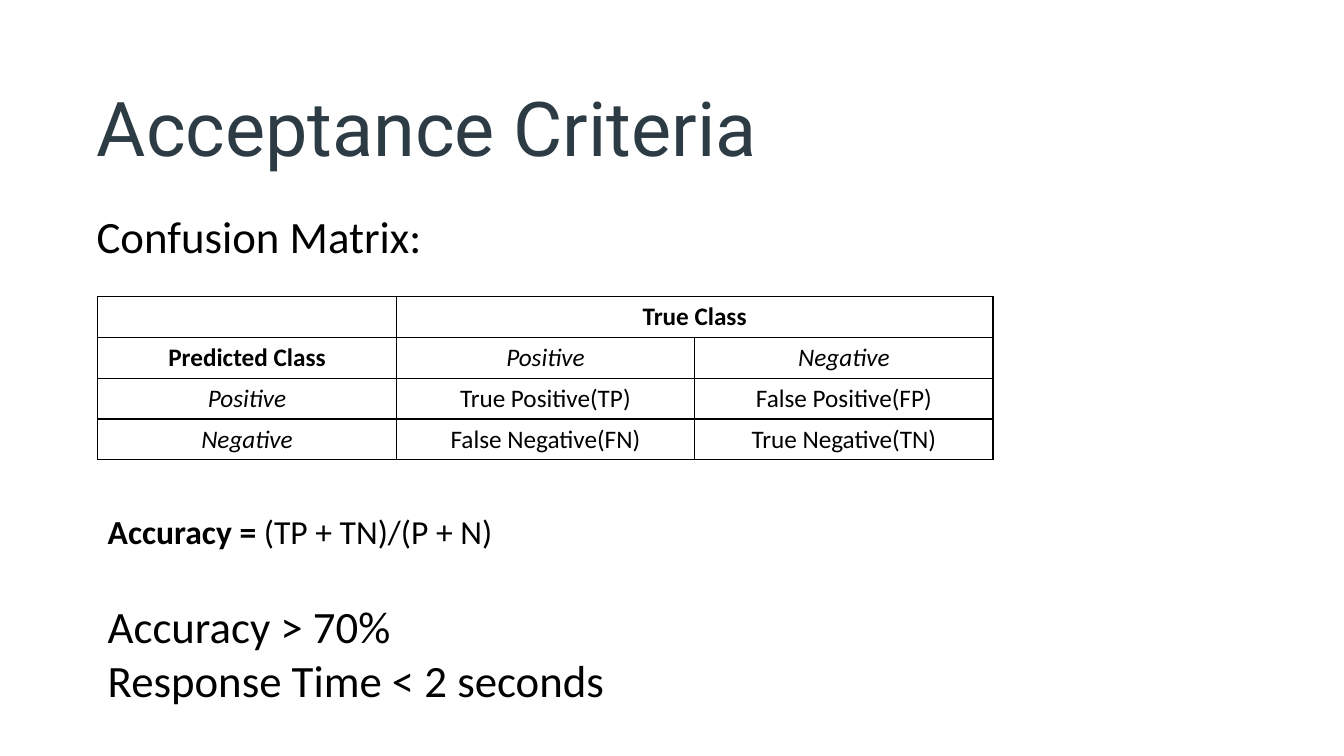
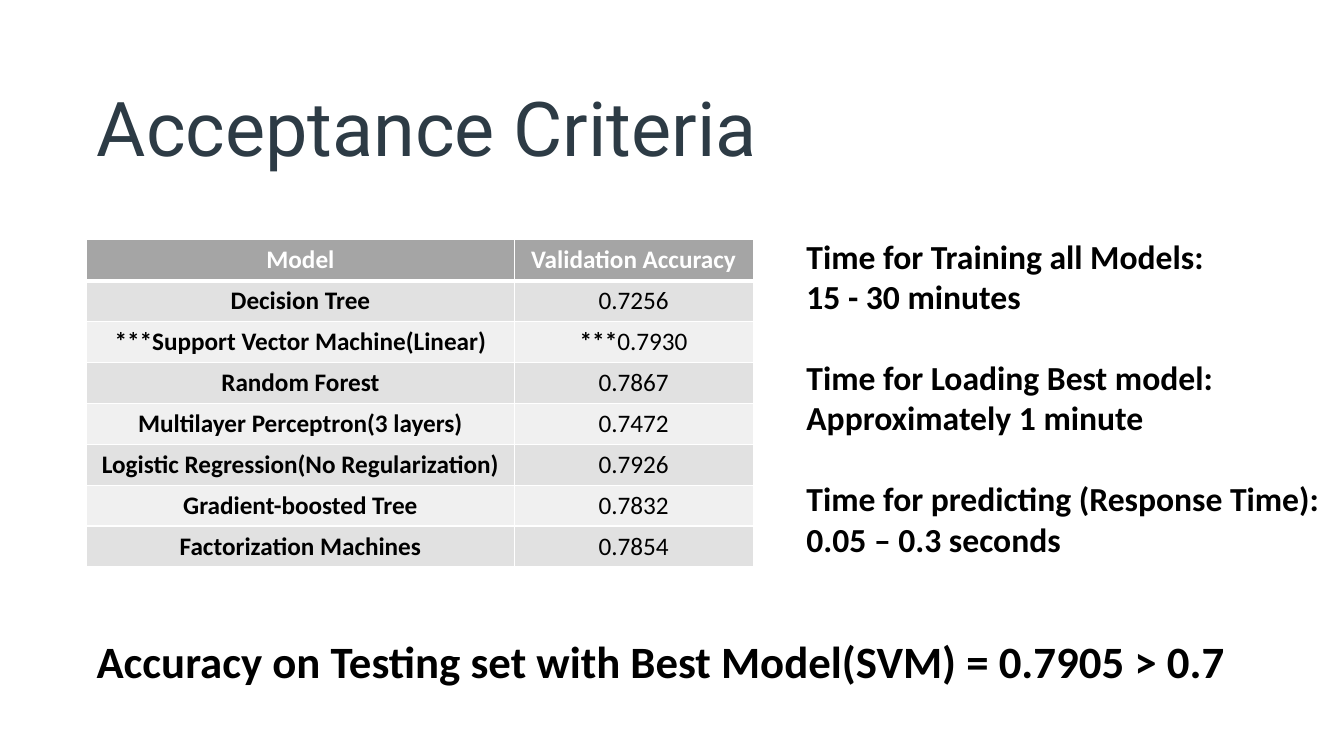
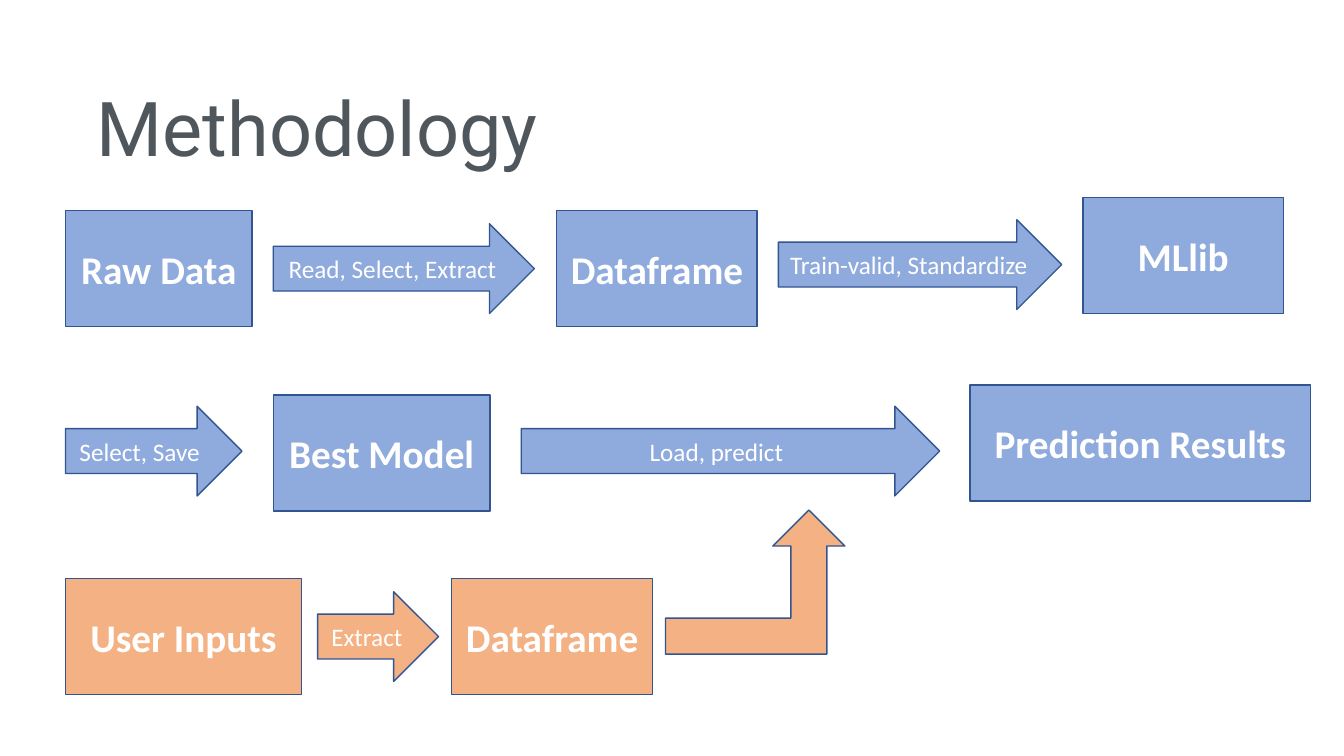
"""Build three slides on a classifier's acceptance criteria and methodology."""
import dataclasses

import lxml.etree
import pptx
import pptx.dml.color
import pptx.enum.shapes
import pptx.enum.text
import pptx.oxml.ns
import pptx.util

PX = 9144


@dataclasses.dataclass(frozen=True)
class Theme:
    title_font: str = "Roboto"
    body_font: str = "Calibri"
    slate: str = "2D3B45"
    grey: str = "50575C"
    black: str = "000000"
    white: str = "FFFFFF"
    header: str = "A5A5A5"
    bands: tuple = ("F0F0F0", "E1E1E1")
    blue: str = "8FAADC"
    orange: str = "F4B183"
    outline: str = "325491"
    title: int = 54
    large: int = 32
    step: int = 28
    medium: int = 24
    small: int = 18


theme = Theme()
rgb = pptx.dml.color.RGBColor.from_string
align = pptx.enum.text.PP_ALIGN
shapes = pptx.enum.shapes.MSO_SHAPE


def write(frame, paragraphs, size, color, alignment=align.LEFT, font=theme.body_font):
    """Write paragraphs, each a list of (text, style) runs, style holding b or i."""
    frame.word_wrap = True
    for index, runs in enumerate(paragraphs):
        paragraph = frame.add_paragraph() if index else frame.paragraphs[0]
        paragraph.alignment = alignment
        for text, style in runs:
            run = paragraph.add_run()
            run.text = text
            run.font.name = font
            run.font.size = pptx.util.Pt(size)
            run.font.bold = "b" in style
            run.font.italic = "i" in style
            run.font.color.rgb = rgb(color)


def add_grid(slide, left, top, widths, rows, fills, border, header_rule, header_color):
    """Add a table with one fill per row and ruled cells, and return it."""
    height = 40
    grid = slide.shapes.add_table(
        len(rows), len(widths), left * PX, top * PX, sum(widths) * PX, height * len(rows) * PX
    ).table
    grid.first_row = grid.horz_banding = False
    for column, width in zip(grid.columns, widths):
        column.width = width * PX
    for row_index, (row, fill) in enumerate(zip(rows, fills)):
        grid.rows[row_index].height = height * PX
        rules = {"L": 1, "R": 1, "T": 1, "B": 1}
        if row_index < 2:
            rules["T" if row_index else "B"] = header_rule
        for column_index, runs in enumerate(row):
            cell = grid.cell(row_index, column_index)
            cell.vertical_anchor = pptx.enum.text.MSO_ANCHOR.TOP
            properties = cell._tc.get_or_add_tcPr()
            for side, points in rules.items():
                rule = lxml.etree.SubElement(
                    properties, pptx.oxml.ns.qn(f"a:ln{side}"), w=str(pptx.util.Pt(points))
                )
                solid = lxml.etree.SubElement(rule, pptx.oxml.ns.qn("a:solidFill"))
                lxml.etree.SubElement(solid, pptx.oxml.ns.qn("a:srgbClr"), val=border)
            if fill:
                cell.fill.solid()
                cell.fill.fore_color.rgb = rgb(fill)
            else:
                cell.fill.background()
            color = theme.black if row_index else header_color
            write(cell.text_frame, [runs], theme.small, color, align.CENTER)
    return grid


deck = pptx.Presentation()
deck.slide_width = 1333 * PX
deck.slide_height = 750 * PX

slides = []
for heading, width, color in [
    ("Acceptance Criteria", 975, theme.slate),
    ("Acceptance Criteria", 975, theme.slate),
    ("Methodology", 518, theme.grey),
]:
    slide = deck.slides.add_slide(deck.slide_layouts[5])
    title = slide.shapes.title
    title.left, title.top, title.width, title.height = 86 * PX, 75 * PX, width * PX, 101 * PX
    title.text_frame.auto_size = pptx.enum.text.MSO_AUTO_SIZE.NONE
    title.text_frame.vertical_anchor = pptx.enum.text.MSO_ANCHOR.TOP
    write(title.text_frame, [[(heading, "")]], theme.title, color, font=theme.title_font)
    slides.append(slide)
criteria, results, methodology = slides

confusion = add_grid(
    criteria, 97, 294, [296] * 3,
    [
        [[], [("True Class", "b")], []],
        [[("Predicted Class", "b")], [("Positive", "i")], [("Negative", "i")]],
        [[("Positive", "i")], [("True Positive(TP)", "")], [("False Positive(FP)", "")]],
        [[("Negative", "i")], [("False Negative(FN)", "")], [("True Negative(TN)", "")]],
    ],
    [None] * 4, theme.black, 1, theme.black,
)
confusion.cell(0, 1).merge(confusion.cell(0, 2))

accuracies = [
    ("Decision Tree", [("0.7256", "")]),
    ("***Support Vector Machine(Linear)", [("***", "b"), ("0.7930", "")]),
    ("Random Forest", [("0.7867", "")]),
    ("Multilayer Perceptron(3 layers)", [("0.7472", "")]),
    ("Logistic Regression(No Regularization)", [("0.7926", "")]),
    ("Gradient-boosted Tree", [("0.7832", "")]),
    ("Factorization Machines", [("0.7854", "")]),
]
model_rows = [[[("Model", "b")], [("Validation Accuracy", "b")]]]
model_rows += [[[(model, "b")], accuracy] for model, accuracy in accuracies]
model_fills = [theme.header] + [theme.bands[n % 2] for n in range(1, len(model_rows))]
add_grid(results, 86, 238, [424, 237], model_rows, model_fills, theme.white, 3, theme.white)

timings = [
    "Time for Training all Models:", "15 - 30 minutes",
    "Time for Loading Best model:", "Approximately 1 minute",
    "Time for predicting (Response Time):", "0.05 – 0.3 seconds",
]
verdict = "Accuracy on Testing set with Best Model(SVM) = 0.7905 > 0.7"
for slide, left, top, width, height, size, paragraphs in [
    (criteria, 86, 202, 1150, 64, theme.large, [[("Confusion Matrix:", "")]]),
    (criteria, 97, 502, 644, 50, theme.medium, [[("Accuracy = ", "b"), ("(TP + TN)/(P + N)", "")]]),
    (criteria, 97, 589, 1198, 118, theme.large,
     [[("Accuracy > 70%", "")], [("Response Time < 2 seconds", "")]]),
    (results, 86, 624, 1272, 118, theme.large, [[(verdict, "b")]]),
    (results, 790, 229, 543, 333, theme.medium, [[(line, "b")] for line in timings]),
]:
    note = slide.shapes.add_textbox(left * PX, top * PX, width * PX, height * PX)
    write(note.text_frame, paragraphs, size, theme.black)
    for paragraph in note.text_frame.paragraphs[2::2]:
        paragraph.space_before = pptx.util.Pt(29)

box, arrow, bend = shapes.RECTANGLE, shapes.RIGHT_ARROW, shapes.BENT_UP_ARROW
heights = {box: 115, arrow: 89, bend: 143}
for kind, left, top, width, fill, label in [
    (box, 65, 209, 185, theme.blue, "Raw Data"),
    (arrow, 271, 222, 259, theme.blue, "Read, Select, Extract"),
    (box, 552, 209, 199, theme.blue, "Dataframe"),
    (arrow, 772, 218, 281, theme.blue, "Train-valid, Standardize"),
    (box, 1074, 196, 199, theme.blue, "MLlib"),
    (arrow, 65, 403, 175, theme.blue, "Select, Save "),
    (box, 271, 392, 215, theme.blue, "Best Model"),
    (arrow, 517, 403, 415, theme.blue, "Load, predict "),
    (box, 962, 382, 338, theme.blue, "Prediction Results"),
    (box, 65, 574, 234, theme.orange, "User Inputs"),
    (arrow, 315, 587, 120, theme.orange, "Extract"),
    (box, 448, 574, 199, theme.orange, "Dataframe"),
    (bend, 660, 506, 178, theme.orange, ""),
]:
    step = methodology.shapes.add_shape(kind, left * PX, top * PX, width * PX, heights[kind] * PX)
    step.shadow.inherit = False
    step.fill.solid()
    step.fill.fore_color.rgb = rgb(fill)
    step.line.color.rgb = rgb(theme.outline)
    step.line.width = pptx.util.Pt(1)
    if label:
        size, style = (theme.step, "b") if kind == box else (theme.small, "")
        write(step.text_frame, [[(label, style)]], size, theme.white, align.CENTER)

deck.save("out.pptx")
